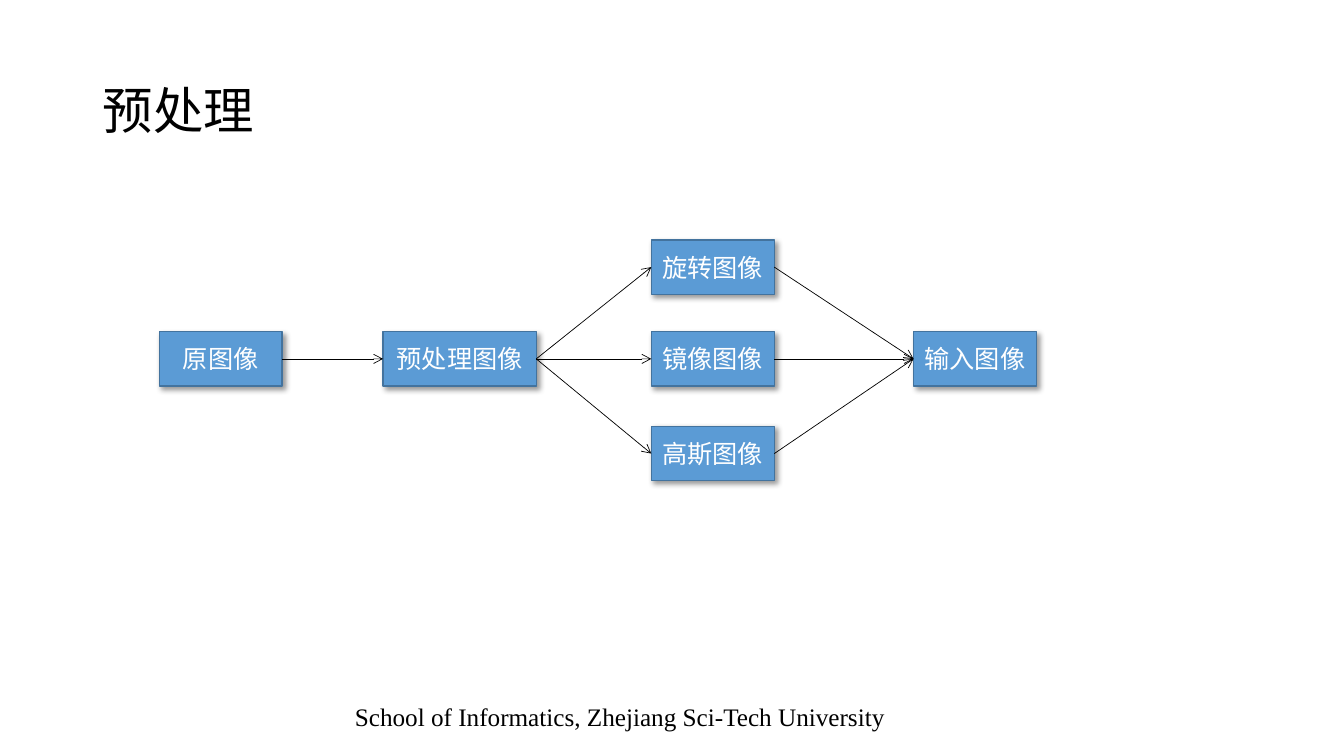
"""Build the slide with the preprocessing flow."""
from lxml import etree
from pptx import Presentation
from pptx import util as u
from pptx.dml.color import RGBColor
from pptx.enum import shapes, text
from pptx.oxml import parse_xml
from pptx.oxml.ns import nsdecls, qn

WIDE, HIGH = u.Inches(13.33), u.Inches(7.5)
BLACK = RGBColor(0, 0, 0)
WHITE = RGBColor(255, 255, 255)
BLUE = RGBColor(0x5B, 0x9B, 0xD5)
EDGE = RGBColor(0x43, 0x73, 0x9E)
SANS, SERIF = "Noto Sans CJK SC", "Times New Roman"
COLS = (11.85, 28.5, 48.46, 67.97)
ROWS = (31.73, 43.87, 56.4)
NODES = {
    "原图像": (0, 1),
    "预处理图像": (1, 1),
    "旋转图像": (2, 0),
    "镜像图像": (2, 1),
    "高斯图像": (2, 2),
    "输入图像": (3, 1),
}
SHADE = (
    f'<a:effectLst {nsdecls("a")}><a:outerShdw blurRad="50800" dist="38100" '
    'dir="2700000" algn="tl" rotWithShape="0"><a:srgbClr val="000000">'
    '<a:alpha val="40000"/></a:srgbClr></a:outerShdw></a:effectLst>'
)


def place(left, top, width, height):
    """Turn percentages of the slide into lengths."""
    return [int(side * share / 100) for side, share in
            ((WIDE, left), (HIGH, top), (WIDE, width), (HIGH, height))]


def write(frame, words, size, font, color, align):
    """Write one run into a text frame."""
    para = frame.paragraphs[0]
    para.alignment = align
    run = para.add_run()
    run.text = words
    run.font.size = u.Pt(size)
    run.font.name = font
    run.font.color.rgb = color
    east = etree.SubElement(run.font._element, qn("a:ea"))
    east.set("typeface", font)


def head(slide, words):
    """Place and fill the title."""
    title = slide.shapes.title
    title.left, title.top, title.width, title.height = place(6.9, 5.33, 86.25, 19.33)
    frame = title.text_frame
    frame.vertical_anchor = text.MSO_ANCHOR.MIDDLE
    write(frame, words, 36, SANS, BLACK, text.PP_ALIGN.LEFT)
    frame.paragraphs[0].line_spacing = 0.9


def node(slide, words, col, row):
    """Draw a shaded box in a cell of the grid."""
    width = 11.4 if len(words) > 4 else 9.15
    box = slide.shapes.add_shape(
        shapes.MSO_SHAPE.RECTANGLE, *place(COLS[col], ROWS[row], width, 7.2))
    box.fill.solid()
    box.fill.fore_color.rgb = BLUE
    box.line.color.rgb = EDGE
    box.line.width = u.Pt(1)
    box._element.spPr.append(parse_xml(SHADE))
    frame = box.text_frame
    frame.word_wrap = False
    frame.vertical_anchor = text.MSO_ANCHOR.MIDDLE
    write(frame, words, 18, SANS, WHITE, text.PP_ALIGN.CENTER)
    return box


def link(slide, start, end):
    """Join the right side of one box to the left side of another."""
    line = slide.shapes.add_connector(shapes.MSO_CONNECTOR.STRAIGHT, 0, 0, 0, 0)
    line.begin_connect(start, 3)
    line.end_connect(end, 1)
    line.line.color.rgb = BLACK
    line.line.width = u.Pt(0.5)
    etree.SubElement(line.line._get_or_add_ln(), qn("a:tailEnd")).set("type", "arrow")
    etree.SubElement(line._element.spPr, qn("a:effectLst"))


def foot(slide, words):
    """Write the line at the bottom."""
    box = slide.shapes.add_textbox(*place(25.65, 92.13, 40.95, 5.33))
    box.text_frame.word_wrap = False
    box.text_frame.auto_size = text.MSO_AUTO_SIZE.SHAPE_TO_FIT_TEXT
    write(box.text_frame, words, 18, SERIF, BLACK, text.PP_ALIGN.CENTER)


def main():
    """Build and save the slide."""
    deck = Presentation()
    deck.slide_width, deck.slide_height = WIDE, HIGH
    slide = deck.slides.add_slide(deck.slide_layouts.get_by_name("Title Only"))
    head(slide, "预处理")
    first, prep, *forms, last = [
        node(slide, words, *cell) for words, cell in NODES.items()]
    link(slide, first, prep)
    for form in forms:
        link(slide, prep, form)
        link(slide, form, last)
    foot(slide, "School of Informatics, Zhejiang Sci-Tech University")
    deck.save("out.pptx")


if __name__ == "__main__":
    main()
